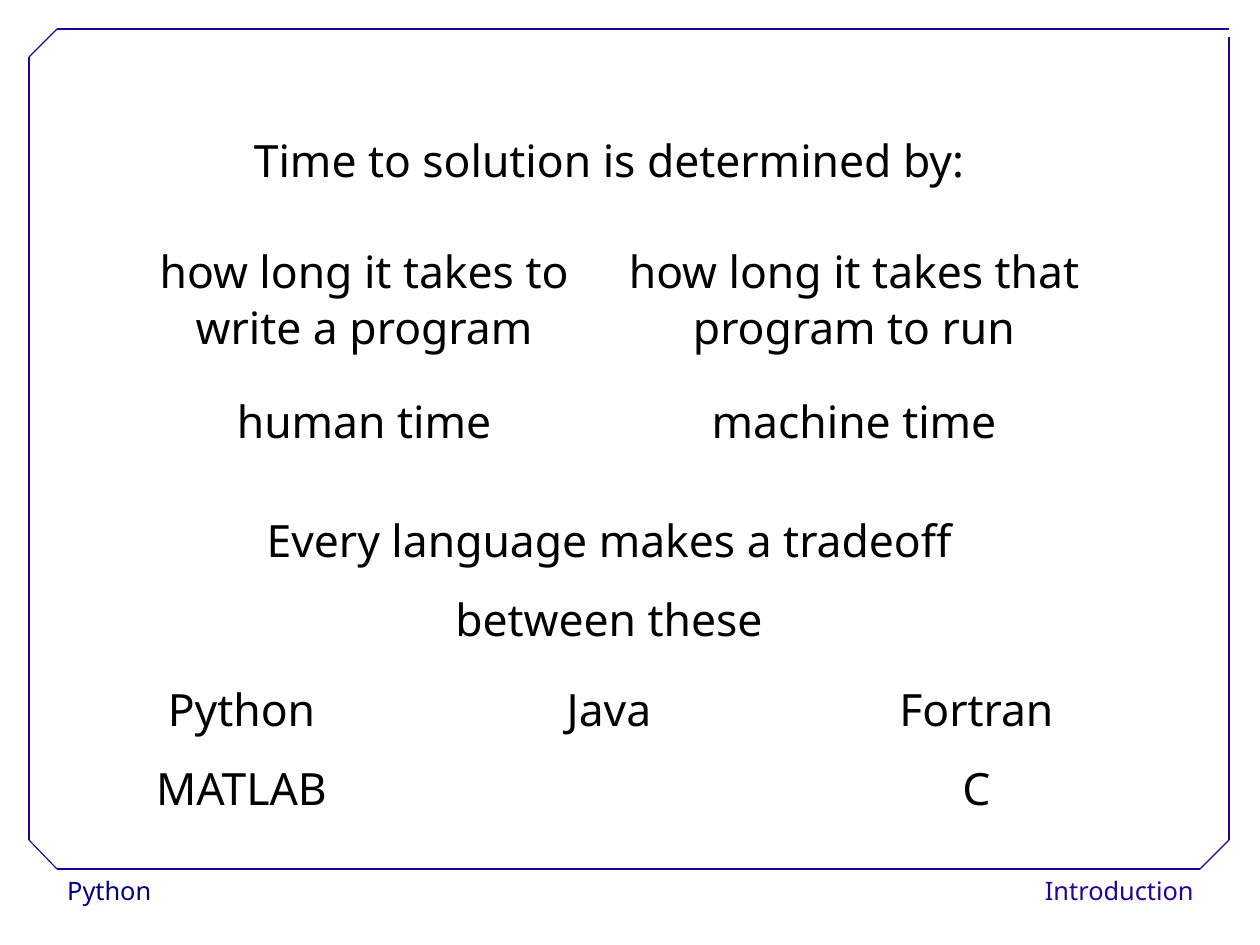
from pptx import Presentation
from pptx.dml.color import RGBColor
from pptx.enum.shapes import MSO_CONNECTOR as Connector, MSO_SHAPE as Shape
from pptx.enum.text import MSO_ANCHOR as Anchor, PP_ALIGN as Align
from pptx.oxml.ns import qn
from pptx.util import Pt
from lxml.etree import SubElement

WHITE = RGBColor(255, 255, 255)
BLACK = RGBColor(0, 0, 0)
NAVY = RGBColor(0, 0, 128)
INDIGO = RGBColor(40, 0, 153)
FONT = "Noto Sans"
PX = 8000
PAGE_WIDTH, PAGE_HEIGHT = 1260, 945

FOOTERS = [
    ("Python", 56, 246, Align.LEFT, NAVY),
    ("Introduction", 1045, 160, Align.RIGHT, INDIGO),
]
FOOTER_TOP, FOOTER_HEIGHT = 869, 46

FRAME_LINES = [
    (57, 869, 1200, 869),
    (29, 840, 29, 57),
    (57, 29, 1229, 29),
    (1229, 840, 1229, 37),
    (29, 57, 57, 29),
    (1200, 869, 1229, 840),
    (29, 840, 57, 869),
]

TABLE_LEFT, TABLE_TOP = 119, 127
COLUMN_WIDTH, COLUMN_COUNT = 245, 4
TABLE_ROWS = [
    (111, [("Time to solution is determined by:", 4)]),
    (150, [("how long it takes to write a program", 2),
           ("how long it takes that program to run", 2)]),
    (119, [("human time", 2), ("machine time", 2)]),
    (169, [("Every language makes a tradeoff\nbetween these", 4)]),
    (146, [("Python\nMATLAB", 1), ("Java", 2), ("Fortran\nC", 1)]),
]


def write(frame, text, size, color, align, line_spacing, space_after=0):
    frame.text = text
    for para in frame.paragraphs:
        para.alignment = align
        para.line_spacing = line_spacing
        para.space_after = Pt(space_after)
        for span in para.runs:
            span.font.name = FONT
            span.font.size = Pt(size)
            span.font.color.rgb = color


def add_footer(page, text, left, width, align, color):
    box = page.shapes.add_shape(Shape.RECTANGLE, left * PX, FOOTER_TOP * PX,
                                width * PX, FOOTER_HEIGHT * PX)
    box.shadow.inherit = False
    box.fill.solid()
    box.fill.fore_color.rgb = WHITE
    box.line.fill.background()
    box.text_frame.word_wrap = False
    box.text_frame.vertical_anchor = Anchor.TOP
    write(box.text_frame, text, 16, color, align, 1.02)


def add_frame_line(page, ends):
    line = page.shapes.add_connector(Connector.STRAIGHT, *(end * PX for end in ends))
    line.line.color.rgb = INDIGO
    line.line.width = Pt(0.75)
    SubElement(line._element.spPr, qn("a:effectLst"))


def add_table(page):
    height = sum(row_height for row_height, entries in TABLE_ROWS)
    table = page.shapes.add_table(
        len(TABLE_ROWS), COLUMN_COUNT, TABLE_LEFT * PX, TABLE_TOP * PX,
        COLUMN_COUNT * COLUMN_WIDTH * PX, height * PX).table
    table.first_row = False
    table.horz_banding = False
    for row, (row_height, entries) in enumerate(TABLE_ROWS):
        table.rows[row].height = row_height * PX
        column = 0
        for text, width in entries:
            cell = table.cell(row, column)
            if width > 1:
                cell.merge(table.cell(row, column + width - 1))
            cell.vertical_anchor = Anchor.TOP
            write(cell.text_frame, text, 28, BLACK, Align.CENTER, 0.93, 14.3)
            column += width
        for cell in table.rows[row].cells:
            cell.fill.background()


def main():
    deck = Presentation()
    deck.slide_width = PAGE_WIDTH * PX
    deck.slide_height = PAGE_HEIGHT * PX
    page = deck.slides.add_slide(deck.slide_layouts[6])
    for footer in FOOTERS:
        add_footer(page, *footer)
    for ends in FRAME_LINES:
        add_frame_line(page, ends)
    add_table(page)
    deck.save("out.pptx")


if __name__ == "__main__":
    main()
